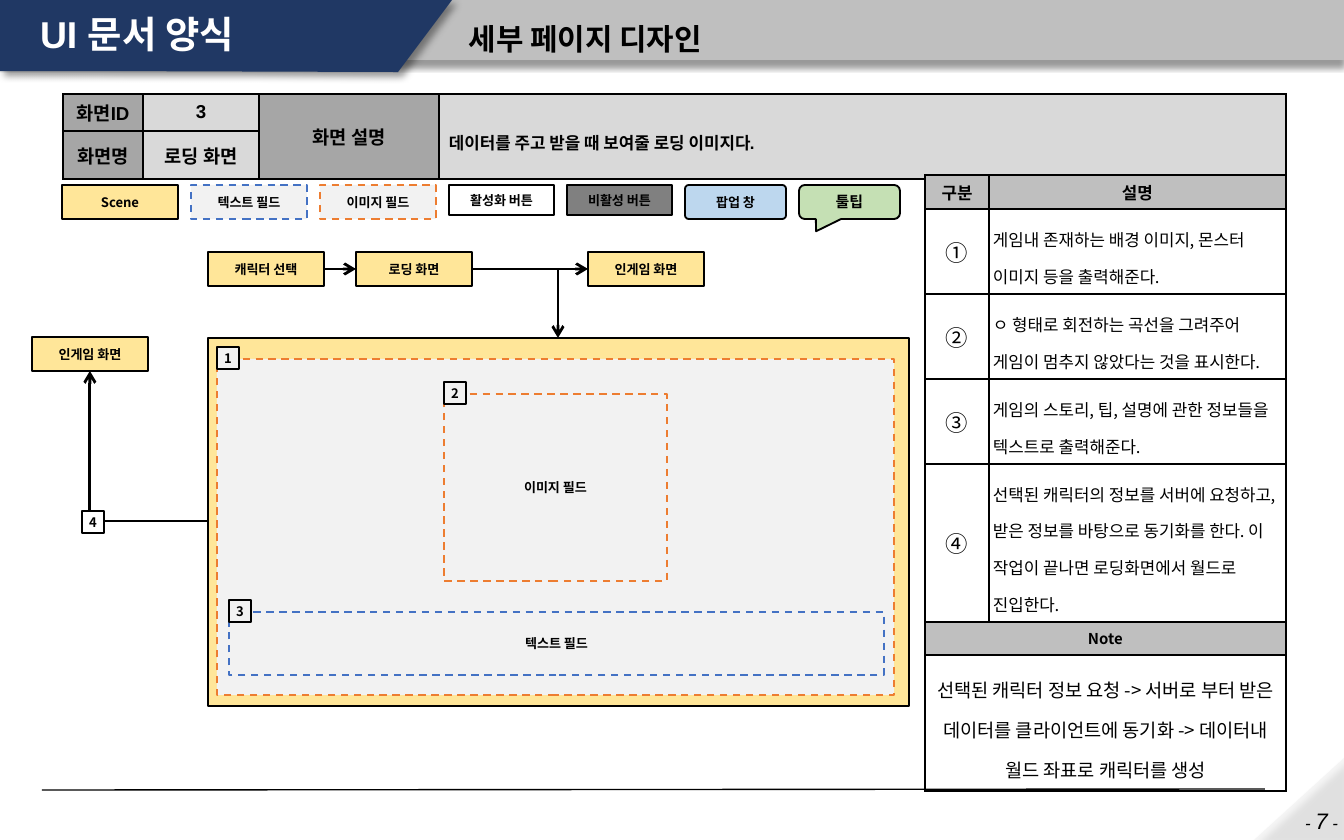
from lxml.etree import SubElement
from pptx import Presentation
from pptx.dml.color import RGBColor
from pptx.enum.dml import MSO_LINE_DASH_STYLE as DASH
from pptx.enum.shapes import MSO_CONNECTOR as LINK, MSO_SHAPE as SHAPE
from pptx.enum.text import MSO_ANCHOR as ANCHOR, PP_ALIGN as ALIGN
from pptx.oxml.ns import qn
from pptx.util import Emu, Pt

COLORS = {
    "black": "000000", "white": "FFFFFF", "navy": "203864", "band": "BFBFBF",
    "label": "A6A6A6", "value": "D9D9D9", "field": "F2F2F2", "scene": "FFE699",
    "disabled": "808080", "popup": "BDD7EE", "tooltip": "C5E0B4",
    "text_field": "4472C4", "image_field": "ED7D31",
}
LATIN, KOREAN = "Arial", "Noto Sans CJK KR"
NODE_W, NODE_H, BADGE, LEGEND_GAP = 116, 34, 22, 13


def px(length):
    return Emu(round(length * 914400 / 134.4))


def rgb(name):
    return RGBColor.from_string(COLORS[name])


def apply(target, values):
    for name, value in values.items():
        setattr(target, name, value)


def margins(left, top):
    return {"margin_left": px(left), "margin_right": px(left),
            "margin_top": px(top), "margin_bottom": px(top)}


def add_run(paragraph, text, size, font=KOREAN, color="black", bold=True, italic=False):
    run = paragraph.add_run()
    run.text = text
    apply(run.font, {"name": font, "size": Pt(size), "bold": bold, "italic": italic})
    run.font.color.rgb = rgb(color)
    SubElement(run.font._element, qn("a:ea"), typeface=KOREAN)


def write(frame, text, size, align=ALIGN.CENTER, spacing=1.0, **style):
    paragraph = frame.paragraphs[0]
    apply(paragraph, {"alignment": align, "line_spacing": spacing})
    add_run(paragraph, text, size, **style)


def add_shadow(shape, degrees):
    effects = shape._element.spPr.find(qn("a:effectLst"))
    shadow = SubElement(effects, qn("a:outerShdw"), blurRad=str(Pt(4)), dist=str(Pt(3)),
                        dir=str(degrees * 60000), algn="tl", rotWithShape="0")
    tint = SubElement(shadow, qn("a:srgbClr"), val=COLORS["black"])
    SubElement(tint, qn("a:alpha"), val="40000")


def paint(shape, fill, outline=None, dashed=False):
    shape.shadow.inherit = False
    shape.fill.solid()
    shape.fill.fore_color.rgb = rgb(fill)
    if outline is None:
        shape.line.fill.background()
        return
    shape.line.color.rgb = rgb(outline)
    shape.line.width = Pt(1)
    if dashed:
        shape.line.dash_style = DASH.DASH


def add_box(slide, box, fill, text="", outline="black", dashed=False,
            kind=SHAPE.RECTANGLE, size=7, adjust=()):
    shape = slide.shapes.add_shape(kind, *map(px, box))
    for index, value in enumerate(adjust):
        shape.adjustments[index] = value
    paint(shape, fill, outline, dashed)
    apply(shape.text_frame, {"word_wrap": True, "vertical_anchor": ANCHOR.MIDDLE, **margins(0, 0)})
    if text:
        write(shape.text_frame, text, size)
    return shape


def add_text(slide, box, anchor, inset):
    frame = slide.shapes.add_textbox(*map(px, box)).text_frame
    apply(frame, {"word_wrap": True, "vertical_anchor": anchor, **margins(*inset)})
    return frame


def add_line(slide, start, end, width=1.5, arrow=True, bent=False):
    kind = LINK.ELBOW if bent else LINK.STRAIGHT
    line = slide.shapes.add_connector(kind, *map(px, start + end))
    line.line.color.rgb = rgb("black")
    line.line.width = Pt(width)
    properties = line._element.spPr
    if bent:
        properties.find(qn("a:prstGeom")).set("prst", "bentConnector2")
    if arrow:
        SubElement(properties.find(qn("a:ln")), qn("a:tailEnd"), type="arrow")
    SubElement(properties, qn("a:effectLst"))


def add_node(slide, left, top, text):
    add_box(slide, (left, top, NODE_W, NODE_H), "scene", text)


def add_badge(slide, left, top, number, fill="field"):
    add_box(slide, (left, top, BADGE, BADGE), fill, number)


def add_field(slide, box, outline, number, text=""):
    add_box(slide, box, "field", text, outline, dashed=True)
    add_badge(slide, box[0], box[1] - 12, number)


def add_grid(slide, left, top, widths, heights):
    size = (left, top, sum(widths), sum(heights))
    table = slide.shapes.add_table(len(heights), len(widths), *map(px, size)).table
    apply(table, {"first_row": False, "horz_banding": False})
    for column, width in zip(table.columns, widths):
        column.width = px(width)
    for row, height in zip(table.rows, heights):
        row.height = px(height)
    for cell in table.iter_cells():
        for side in ("lnL", "lnR", "lnT", "lnB"):
            border = SubElement(cell._tc.get_or_add_tcPr(), qn("a:" + side), w=str(Pt(1)))
            SubElement(SubElement(border, qn("a:solidFill")), qn("a:srgbClr"), val=COLORS["black"])
        cell.fill.background()
    return table


def fill_cell(cell, text, size, fill=None, inset=5, **style):
    apply(cell, {"vertical_anchor": ANCHOR.MIDDLE, **margins(inset, 5)})
    if fill:
        cell.fill.solid()
        cell.fill.fore_color.rgb = rgb(fill)
    write(cell.text_frame, text, size, **style)


def add_header(slide):
    band = add_box(slide, (0, 0, 1344, 60), "band", outline=None)
    add_shadow(band, 90)
    outline = slide.shapes.build_freeform(0, 0, scale=px(1))
    outline.add_line_segments([(452, 0), (398, 72), (94, 71), (0, 71)], close=True)
    banner = outline.convert_to_shape()
    paint(banner, "navy")
    add_shadow(banner, 45)
    write(add_text(slide, (27, 0, 402, 72), ANCHOR.MIDDLE, (13, 7)), "UI 문서 양식", 20,
          ALIGN.LEFT, 0.9, font=LATIN, color="white")
    write(add_text(slide, (456, 0, 888, 60), ANCHOR.MIDDLE, (13, 7)), "세부 페이지 디자인", 16,
          ALIGN.LEFT, 1.5, font=LATIN)


def add_footer(slide):
    corner = add_box(slide, (1258, 754, 82, 90), "field", outline=None, kind=SHAPE.RIGHT_TRIANGLE)
    corner.rotation = 270
    tint = corner._element.spPr.find(qn("a:solidFill"))[0]
    SubElement(tint, qn("a:alpha"), val="70000")
    add_shadow(corner, 45)
    page = add_text(slide, (1202, 801, 148, 27), ANCHOR.TOP, (12, 6)).paragraphs[0]
    page.alignment = ALIGN.RIGHT
    for text, size in (("- ", 9), ("7", 12), (" -", 9)):
        add_run(page, text, size, font=LATIN, bold=False, italic=True)
    add_line(slide, (42, 790), (1265, 789), width=0.75, arrow=False)


def add_legend(slide):
    dashed = {"dashed": True}
    popup = {"kind": SHAPE.ROUNDED_RECTANGLE, "adjust": [0.11]}
    tooltip = {"kind": SHAPE.ROUNDED_RECTANGULAR_CALLOUT, "size": 8, "adjust": [-0.33, 0.86, 0.17]}
    left = 62
    for text, width, height, fill, outline, extra in (
        ("Scene", NODE_W, 34, "scene", "black", {}),
        ("텍스트 필드", NODE_W, 34, "field", "text_field", dashed),
        ("이미지 필드", NODE_W, 34, "field", "image_field", dashed),
        ("활성화 버튼", 105, 30, "white", "black", {}),
        ("비활성 버튼", 105, 30, "disabled", "black", {}),
        ("팝업 창", 101, 34, "popup", "black", popup),
        ("툴팁", 101, 34, "tooltip", "black", tooltip),
    ):
        add_box(slide, (left, 185, width, height), fill, text, outline, **extra)
        left += width + LEGEND_GAP


def add_screen_info(slide):
    info = add_grid(slide, 63, 94, [80, 116, 180, 847], [37, 48])
    for column in (2, 3):
        info.cell(0, column).merge(info.cell(1, column))
    for row, (label, value) in enumerate((("화면ID", "3"), ("화면명", "로딩 화면"))):
        fill_cell(info.cell(row, 0), label, 10, "label", font=LATIN)
        fill_cell(info.cell(row, 1), value, 10, "value", font=LATIN)
    fill_cell(info.cell(0, 2), "화면 설명", 10, "label", font=LATIN)
    fill_cell(info.cell(0, 3), "데이터를 주고 받을 때 보여줄 로딩 이미지다.", 9, "value",
              inset=10, font=LATIN, align=ALIGN.LEFT, spacing=1.5)


def add_descriptions(slide):
    details = add_grid(slide, 925, 175, [64, 297], [34, 85, 85, 85, 158, 33, 136])
    for column, heading in enumerate(("구분", "설명")):
        fill_cell(details.cell(0, column), heading, 9, "band")
    for row, (mark, description) in enumerate((
        ("①", "게임내 존재하는 배경 이미지, 몬스터 이미지 등을 출력해준다."),
        ("②", "ㅇ 형태로 회전하는 곡선을 그려주어 게임이 멈추지 않았다는 것을 표시한다."),
        ("③", "게임의 스토리, 팁, 설명에 관한 정보들을 텍스트로 출력해준다."),
        ("④", "선택된 캐릭터의 정보를 서버에 요청하고, 받은 정보를 바탕으로 동기화를 한다. "
              "이 작업이 끝나면 로딩화면에서 월드로 진입한다."),
    ), 1):
        fill_cell(details.cell(row, 0), mark, 12, bold=False)
        fill_cell(details.cell(row, 1), description, 9, inset=4, bold=False,
                  align=ALIGN.LEFT, spacing=1.5)
    for row in (5, 6):
        details.cell(row, 0).merge(details.cell(row, 1))
    fill_cell(details.cell(5, 0), "Note", 8, "band")
    fill_cell(details.cell(6, 0), "선택된 캐릭터 정보 요청 -> 서버로 부터 받은 데이터를 "
              "클라이언트에 동기화 -> 데이터내 월드 좌표로 캐릭터를 생성", 10, bold=False, spacing=1.5)


def add_flow(slide):
    add_box(slide, (208, 338, 701, 368), "scene")
    add_line(slide, (324, 269), (356, 269))
    add_line(slide, (472, 269), (558, 338), bent=True)
    add_line(slide, (472, 269), (588, 269))
    add_line(slide, (208, 521), (90, 371), bent=True)
    for left, top, name in ((208, 252, "캐릭터 선택"), (356, 252, "로딩 화면"),
                            (588, 252, "인게임 화면"), (32, 337, "인게임 화면")):
        add_node(slide, left, top, name)
    add_field(slide, (217, 359, 677, 336), "image_field", "1")
    add_field(slide, (229, 612, 655, 63), "text_field", "3", "텍스트 필드")
    add_field(slide, (444, 394, 223, 187), "image_field", "2", "이미지 필드")
    add_badge(slide, 82, 511, "4", "white")


def main():
    deck = Presentation()
    apply(deck, {"slide_width": px(1344), "slide_height": px(840)})
    slide = deck.slides.add_slide(deck.slide_layouts[6])
    for add_part in (add_header, add_footer, add_legend, add_screen_info, add_descriptions, add_flow):
        add_part(slide)
    deck.save("out.pptx")


if __name__ == "__main__":
    main()
